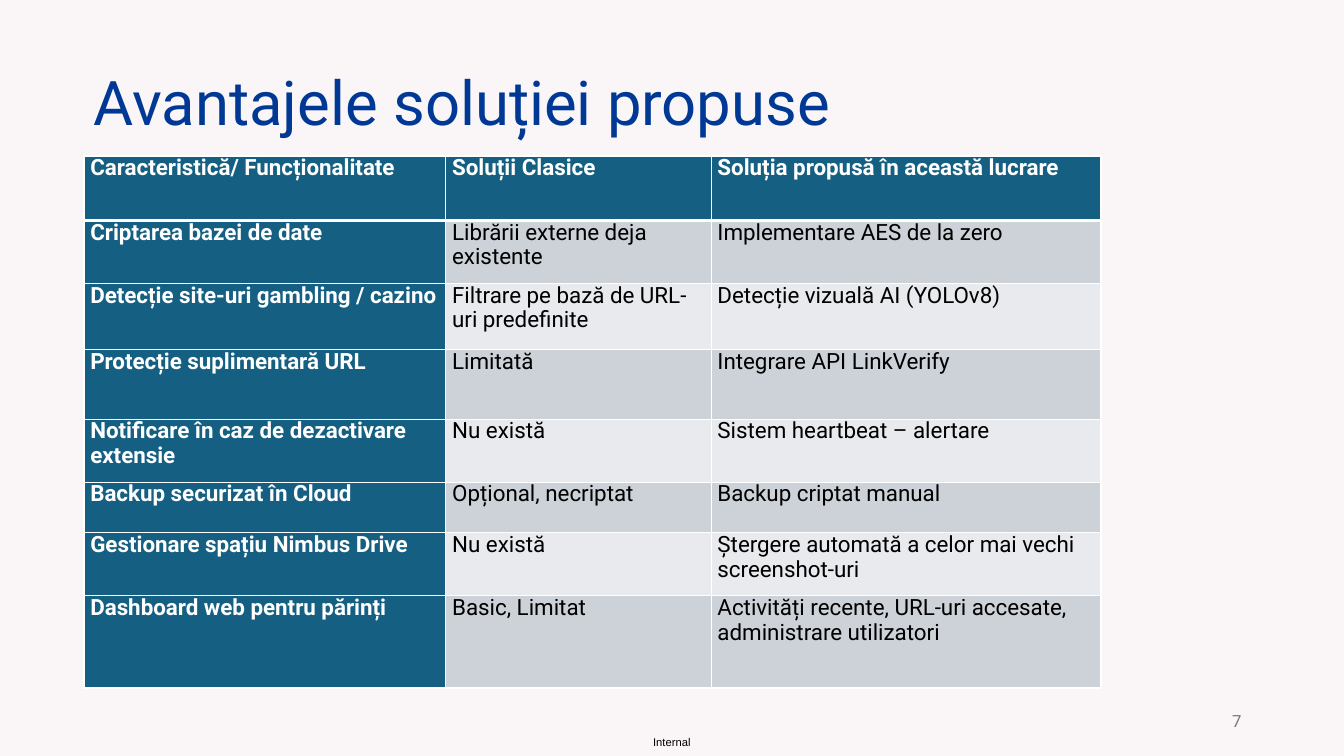
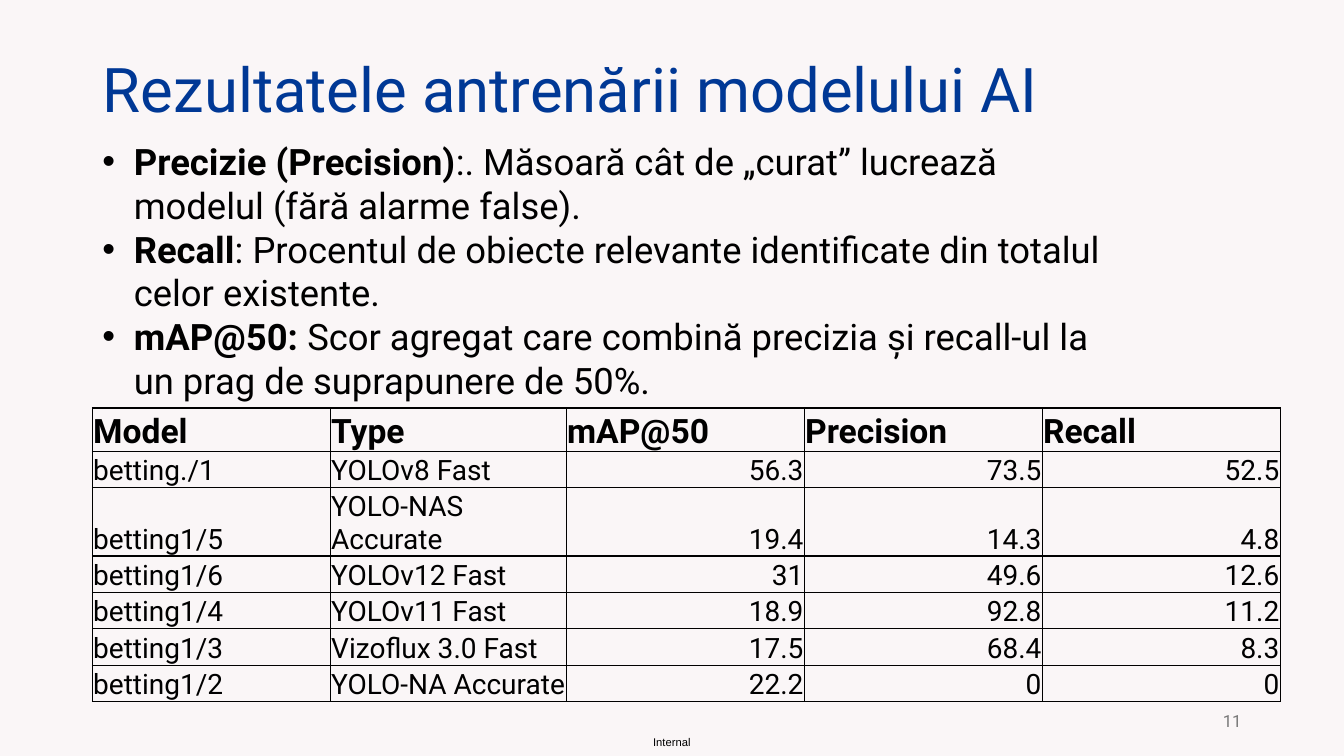
from lxml import etree
from pptx import Presentation
from pptx.dml.color import RGBColor
from pptx.enum.text import MSO_ANCHOR, PP_ALIGN
from pptx.oxml.ns import qn
from pptx.util import Pt

LEFT, RIGHT, JUST = PP_ALIGN.LEFT, PP_ALIGN.RIGHT, PP_ALIGN.JUSTIFY
TOP, MID, LOW = MSO_ANCHOR.TOP, MSO_ANCHOR.MIDDLE, MSO_ANCHOR.BOTTOM

PAPER = RGBColor(0xFA, 0xF6, 0xF7)
BLUE = RGBColor(0x00, 0x38, 0x95)
TEAL = RGBColor(0x15, 0x60, 0x82)
DARK = RGBColor(0xCC, 0xD2, 0xD8)
LIGHT = RGBColor(0xE8, 0xEA, 0xED)
GREY = RGBColor(0x79, 0x79, 0x79)
BLACK = RGBColor(0x00, 0x00, 0x00)
WHITE = RGBColor(0xFF, 0xFF, 0xFF)


def write(frame, *paras, size=16, color=BLACK, font="Roboto", bold=False,
          align=LEFT, lines=1.0, after=0, bullet=False):
    frame.word_wrap = True
    for i, parts in enumerate(paras):
        para = frame.add_paragraph() if i else frame.paragraphs[0]
        para.alignment = align
        para.line_spacing = lines
        para.space_after = Pt(after)
        if bullet:
            props = para._p.get_or_add_pPr()
            props.set("marL", str(Pt(22.5)))
            props.set("indent", str(-Pt(22.5)))
            etree.SubElement(props, qn("a:buFont"), typeface="Arial")
            etree.SubElement(props, qn("a:buChar"), char="•")
        for text, strong in parts if bullet else [(parts, bold)]:
            run = para.add_run()
            run.text = text
            run.font.name = font
            run.font.size = Pt(size)
            run.font.bold = strong
            run.font.color.rgb = color


def grid(slide, left, top, cols, rows, inset, anchor, edge, head):
    frame = slide.shapes.add_table(len(rows), len(cols), Pt(left), Pt(top),
                                   Pt(sum(cols)), Pt(sum(rows)))
    table = frame.table
    table.horz_banding = False
    for col, width in zip(table.columns, cols):
        col.width = Pt(width)
    for r, height in enumerate(rows):
        table.rows[r].height = Pt(height)
        for cell in table.rows[r].cells:
            (cell.margin_left, cell.margin_top,
             cell.margin_right, cell.margin_bottom) = map(Pt, inset)
            cell.vertical_anchor = anchor
            props = cell._tc.get_or_add_tcPr()
            for side in "LRTB":
                thick = (r, side) in [(0, "B"), (1, "T")]
                line = etree.SubElement(props, qn(f"a:ln{side}"),
                                        w=str(Pt(head if thick else 1)))
                fill = etree.SubElement(line, qn("a:solidFill"))
                etree.SubElement(fill, qn("a:srgbClr"), val=str(edge))
    return table


prs = Presentation()
prs.slide_width, prs.slide_height = Pt(960), Pt(540)
back = prs.slide_master.background.fill
back.solid()
back.fore_color.rgb = PAPER

pages = [
    ("Avantajele soluției propuse", 60, 23, "7"),
    ("Rezultatele antrenării modelului AI", 66.5, 13.5, "11"),
]
slides = []
for title, left, top, number in pages:
    slide = prs.slides.add_slide(prs.slide_layouts[6])
    slides.append(slide)
    label = slide.shapes.add_textbox(Pt(466.5), Pt(525.5), Pt(30), Pt(9.5)).text_frame
    label.margin_left = label.margin_right = 0
    label.margin_top = label.margin_bottom = 0
    write(label, "Internal", size=8, font="Arial")
    name = slide.shapes.add_textbox(Pt(left), Pt(top), Pt(828), Pt(104.5)).text_frame
    name.vertical_anchor = MID
    write(name, title, size=44, color=BLUE, lines=0.9)
    foot = slide.shapes.add_textbox(Pt(678), Pt(500.5), Pt(216), Pt(29)).text_frame
    foot.vertical_anchor = MID
    write(foot, number, size=12, color=GREY, align=RIGHT)

first, second = slides

traits = [
    ("Caracteristică/ Funcționalitate", "Soluții Clasice",
     "Soluția propusă în această lucrare"),
    ("Criptarea bazei de date", "Librării externe deja existente",
     "Implementare AES de la zero"),
    ("Detecție site-uri gambling / cazino", "Filtrare pe bază de URL-uri predefinite",
     "Detecție vizuală AI (YOLOv8)"),
    ("Protecție suplimentară URL", "Limitată", "Integrare API LinkVerify"),
    ("Notificare în caz de dezactivare extensie", "Nu există",
     "Sistem heartbeat – alertare"),
    ("Backup securizat în Cloud", "Opțional, necriptat", "Backup criptat manual"),
    ("Gestionare spațiu Nimbus Drive", "Nu există",
     "Ștergere automată a celor mai vechi screenshot-uri"),
    ("Dashboard web pentru părinți", "Basic, Limitat",
     "Activități recente, URL-uri accesate, administrare utilizatori"),
]
table = grid(first, 60, 111.5, [258.5, 189.5, 278.5],
             [46, 45, 47, 50, 45, 36, 45, 66], (4.5, 0, 4.5, 0), TOP, WHITE, 3)
for r, row in enumerate(traits):
    for c, text in enumerate(row):
        key = r == 0 or c == 0
        cell = table.cell(r, c)
        cell.fill.solid()
        cell.fill.fore_color.rgb = TEAL if key else DARK if r % 2 else LIGHT
        write(cell.text_frame, text, color=WHITE if key else BLACK, bold=key,
              align=LEFT if r else JUST, lines=0.95, after=6)

scores = [
    ("Model", "Type", "mAP@50", "Precision", "Recall"),
    ("betting./1", "YOLOv8 Fast", "56.3", "73.5", "52.5"),
    ("betting1/5", "YOLO-NAS Accurate", "19.4", "14.3", "4.8"),
    ("betting1/6", "YOLOv12 Fast", "31", "49.6", "12.6"),
    ("betting1/4", "YOLOv11 Fast", "18.9", "92.8", "11.2"),
    ("betting1/3", "Vizoflux 3.0 Fast", "17.5", "68.4", "8.3"),
    ("betting1/2", "YOLO-NA Accurate", "22.2", "0", "0"),
]
table = grid(second, 66, 291.5, [170, 168.5, 170, 170, 170],
             [31, 26, 48, 26, 26, 26, 26], (0.6, 0.6, 0.6, 0), LOW, BLACK, 1)
for r, row in enumerate(scores):
    for c, text in enumerate(row):
        cell = table.cell(r, c)
        cell.fill.background()
        write(cell.text_frame, text, size=20 if r else 24, bold=r == 0,
              align=RIGHT if r and c > 1 else LEFT)

terms = second.shapes.add_textbox(Pt(66), Pt(96), Pt(738.5), Pt(218)).text_frame
write(terms,
      [("Precizie (Precision)", True),
       (":. Măsoară cât de „curat” lucrează modelul (fără alarme false).", False)],
      [("Recall", True),
       (": Procentul de obiecte relevante identificate din totalul celor existente.", False)],
      [("mAP@50: ", True),
       ("Scor agregat care combină precizia și recall-ul la un prag de suprapunere de 50%.",
        False)],
      size=26, bullet=True)

prs.save("out.pptx")
